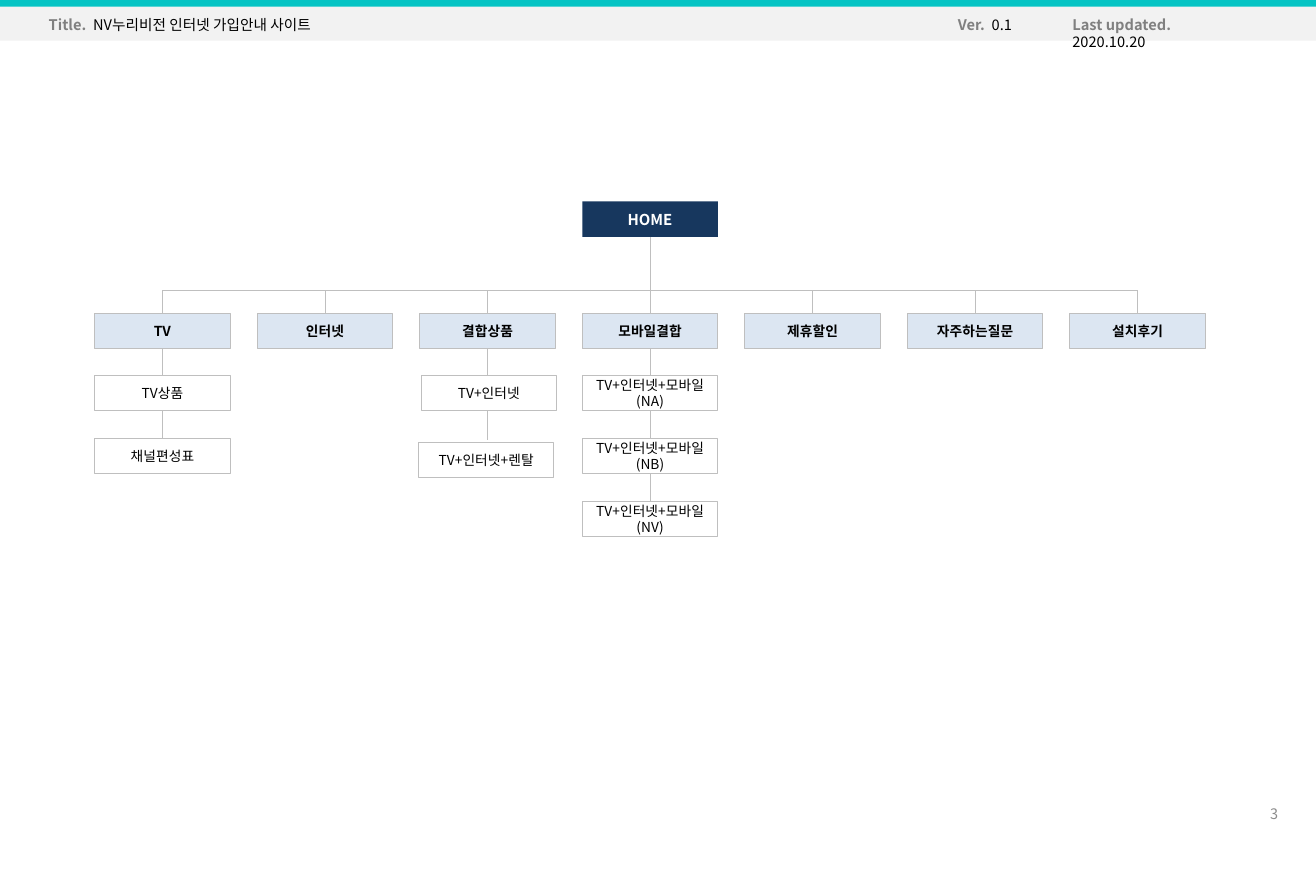
from lxml.etree import SubElement
from pptx import Presentation
from pptx.dml.color import RGBColor
from pptx.enum.shapes import MSO_CONNECTOR, MSO_SHAPE
from pptx.enum.text import MSO_ANCHOR, MSO_AUTO_SIZE, PP_ALIGN
from pptx.oxml.ns import qn
from pptx.util import Cm, Inches, Pt

FONT = "Noto Sans CJK KR"
BLACK, WHITE, GREY, LINE_GREY = "000000", "FFFFFF", "808080", "BFBFBF"
NAVY, PALE_BLUE, TEAL, BAR_GREY = "17375E", "DCE6F2", "05C4C4", "F2F2F2"

BOX_WIDTH, BOX_HEIGHT = 1.03, 0.27
FIRST_LEFT, LAST_LEFT = 0.72, 8.13
HOME_TOP, BUS_Y, MENU_TOP, PAGE_TOP, ROW_STEP = 1.53, 2.21, 2.38, 2.85, 0.48

MENUS = [
    ("TV", ["TV상품", "채널편성표"]),
    ("인터넷", []),
    ("결합상품", ["TV+인터넷", "TV+인터넷+렌탈"]),
    ("모바일결합", ["TV+인터넷+모바일(NA)", "TV+인터넷+모바일(NB)",
               "TV+인터넷+모바일(NV)"]),
    ("제휴할인", []),
    ("자주하는질문", []),
    ("설치후기", []),
]
# Pages that sit slightly off the grid: right and down shift
NUDGES = {"TV+인터넷": (0.01, 0), "TV+인터넷+렌탈": (-0.01, 0.03)}
COLUMN_STEP = (LAST_LEFT - FIRST_LEFT) / (len(MENUS) - 1)


def rgb(hex_colour):
    return RGBColor.from_string(hex_colour)


def format_run(run, size, colour, bold=False):
    run.font.size = Pt(size)
    run.font.bold = bold
    run.font.color.rgb = rgb(colour)
    run.font.name = FONT
    SubElement(run.font._element, qn("a:ea")).set("typeface", FONT)


def add_rectangle(slide, left, top, width, height, fill, line=None):
    rectangle = slide.shapes.add_shape(
        MSO_SHAPE.RECTANGLE, Inches(left), Inches(top), Inches(width), Inches(height))
    rectangle.shadow.inherit = False
    rectangle.fill.solid()
    rectangle.fill.fore_color.rgb = rgb(fill)
    if line:
        rectangle.line.color.rgb = rgb(line)
        rectangle.line.width = Pt(0.5)
    else:
        rectangle.line.fill.background()
    return rectangle


def add_node(slide, text, left, top, fill=WHITE, line=LINE_GREY,
             size=7.5, colour=BLACK, bold=False):
    node = add_rectangle(slide, left, top, BOX_WIDTH, BOX_HEIGHT, fill, line)
    frame = node.text_frame
    frame.text = text
    frame.word_wrap = True
    frame.vertical_anchor = MSO_ANCHOR.MIDDLE
    frame.paragraphs[0].alignment = PP_ALIGN.CENTER
    format_run(frame.paragraphs[0].runs[0], size, colour, bold)


def add_line(slide, x1, y1, x2, y2):
    line = slide.shapes.add_connector(
        MSO_CONNECTOR.STRAIGHT, Inches(x1), Inches(y1), Inches(x2), Inches(y2))
    line.line.color.rgb = rgb(LINE_GREY)
    line.line.width = Pt(0.5)
    SubElement(line._element.spPr, qn("a:effectLst"))


def add_text_box(slide):
    return slide.shapes.add_textbox(0, 0, 0, 0)


def place_header_field(field, label, value, left, width):
    field.left, field.top = Inches(left), Inches(0.07)
    field.width, field.height = Inches(width), Inches(0.24)
    frame = field.text_frame
    frame.word_wrap = True
    frame.auto_size = MSO_AUTO_SIZE.NONE
    frame.vertical_anchor = MSO_ANCHOR.TOP
    paragraph = frame.paragraphs[0]
    paragraph.alignment = PP_ALIGN.LEFT
    for text, colour, bold in ((label + "  ", GREY, True), (value, BLACK, False)):
        run = paragraph.add_run()
        run.text = text
        format_run(run, 8, colour, bold)


def add_header(slide):
    add_rectangle(slide, 0, 0, 10, 0.31, BAR_GREY)
    add_rectangle(slide, 0, 0, 10, 0.05, TEAL)
    title = slide.shapes.title
    title.element.getparent().append(title.element)  # bring in front of the bar
    place_header_field(title, "Title.", "NV누리비전 인터넷 가입안내 사이트", 0.27, 2.37)
    place_header_field(add_text_box(slide), "Ver.", "0.1", 7.18, 0.64)
    place_header_field(add_text_box(slide), "Last updated.", "2020.10.20", 8.05, 1.55)


def add_site_map(slide):
    lefts = [FIRST_LEFT + i * COLUMN_STEP for i in range(len(MENUS))]
    centres = [left + BOX_WIDTH / 2 for left in lefts]
    middle = len(MENUS) // 2

    add_line(slide, centres[0], BUS_Y, centres[-1], BUS_Y)
    add_line(slide, centres[middle], HOME_TOP + BOX_HEIGHT, centres[middle], BUS_Y)
    add_node(slide, "HOME", lefts[middle], HOME_TOP, NAVY, None, 8.2, WHITE, True)

    for left, centre, (menu, pages) in zip(lefts, centres, MENUS):
        add_line(slide, centre, BUS_Y, centre, MENU_TOP + len(pages) * ROW_STEP)
        add_node(slide, menu, left, MENU_TOP, PALE_BLUE, bold=True)
        for row, page in enumerate(pages):
            right, down = NUDGES.get(page, (0, 0))
            add_node(slide, page, left + right, PAGE_TOP + row * ROW_STEP + down)


def add_page_number(slide, number):
    box = slide.shapes.add_textbox(Inches(9.27), Inches(6.03), Inches(0.54), Inches(0.3))
    frame = box.text_frame
    frame.text = number
    frame.word_wrap = True
    frame.vertical_anchor = MSO_ANCHOR.MIDDLE
    frame.paragraphs[0].alignment = PP_ALIGN.RIGHT
    format_run(frame.paragraphs[0].runs[0], 7.9, "8C8C8C")


def main():
    presentation = Presentation()
    presentation.slide_width = Inches(10)
    presentation.slide_height = Cm(17)
    title_only = presentation.slide_layouts[5]
    slide = presentation.slides.add_slide(title_only)
    add_header(slide)
    add_site_map(slide)
    add_page_number(slide, "3")
    presentation.save("out.pptx")


if __name__ == "__main__":
    main()
